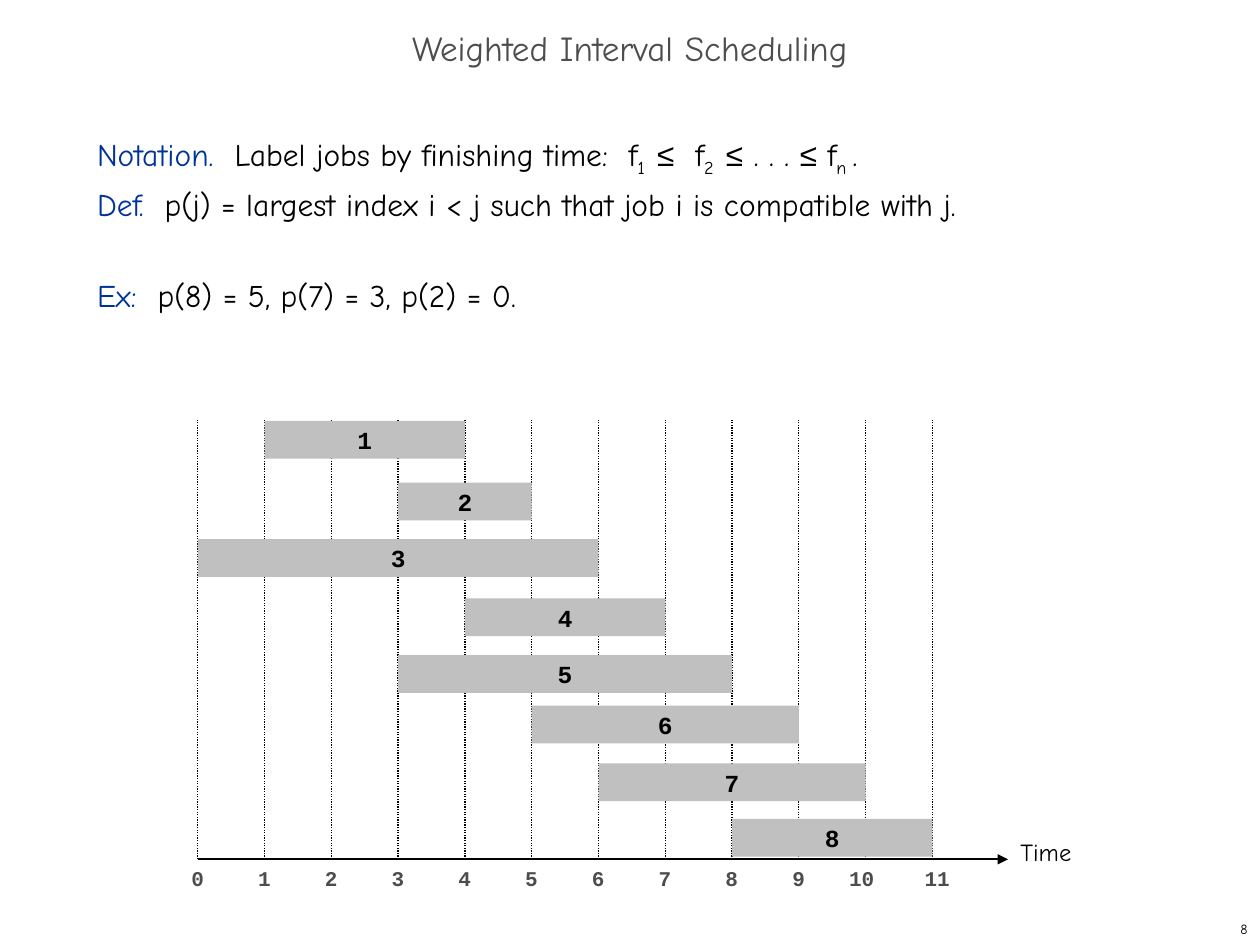
from dataclasses import dataclass

from pptx import Presentation
from pptx.dml.color import RGBColor
from pptx.enum.dml import MSO_LINE_DASH_STYLE as Dash
from pptx.enum.shapes import MSO_CONNECTOR as Connector, MSO_SHAPE as Preset
from pptx.enum.text import MSO_ANCHOR as Anchor, MSO_AUTO_SIZE as AutoSize, PP_ALIGN as Align
from pptx.oxml.ns import qn
from pptx.util import Inches, Pt
from lxml.etree import SubElement

BLACK = RGBColor(0x00, 0x00, 0x00)
GRAY = RGBColor(0x4D, 0x4D, 0x4D)
SILVER = RGBColor(0xC0, 0xC0, 0xC0)
NAVY = RGBColor(0x00, 0x33, 0x99)
HAND, MONO, SYMBOL = "Comic Neue", "Courier New", "Arial"

ORIGIN, COLUMN, COLUMNS = 1.57, 0.53, 11
GRID_TOP, AXIS_Y, AXIS_END = 3.33, 6.82, 8
BAR_HEIGHT = 0.3
LABEL_NUDGE = {10: -0.08, 11: -0.01}

TITLE = dict(name=HAND, size=Pt(20), bold=False)
BODY = dict(name=HAND, size=Pt(18), bold=False)
JOB = dict(name=MONO, size=Pt(14), bold=True)
TICK = dict(name=MONO, size=Pt(12), bold=True)
AXIS_NAME = dict(name=HAND, size=Pt(14))
NUMBER = dict(name=HAND, size=Pt(8))


@dataclass
class Span:
    text: str
    color: RGBColor = BLACK
    font: str = HAND
    subscript: bool = False


@dataclass
class Job:
    label: str
    start: int
    finish: int
    top: float


JOBS = [
    Job("1", 1, 4, 3.34),
    Job("2", 3, 5, 3.83),
    Job("3", 0, 6, 4.28),
    Job("4", 4, 7, 4.75),
    Job("5", 3, 8, 5.2),
    Job("6", 5, 9, 5.6),
    Job("7", 6, 10, 6.06),
    Job("8", 8, 11, 6.5),
]

LINES = [
    [
        Span("Notation.  ", NAVY), Span("Label jobs by finishing time:  f"),
        Span("1  ", subscript=True), Span("≤", font=SYMBOL), Span("  f"),
        Span("2  ", subscript=True), Span("≤", font=SYMBOL), Span(" . . . "),
        Span("≤", font=SYMBOL), Span(" f"), Span("n ", subscript=True), Span("."),
    ],
    [Span("Def.  ", NAVY),
     Span("p(j) = largest index i < j such that job i is compatible with j.")],
    [Span("Ex:  ", NAVY), Span("p(8) = 5, p(7) = 3, p(2) = 0.")],
]
SPACE_BEFORE = [Pt(0), Pt(0), Pt(26)]


def column_x(index: float) -> float:
    return ORIGIN + index * COLUMN


def place(shape, left: float, top: float, width: float, height: float) -> None:
    values = dict(left=left, top=top, width=width, height=height)
    for name, value in values.items():
        setattr(shape, name, Inches(value))


def style(font, formats: dict, color: RGBColor) -> None:
    for name, value in formats.items():
        setattr(font, name, value)
    font.color.rgb = color


def write(shape, text: str, formats: dict, color: RGBColor = BLACK,
          align=Align.LEFT, anchor=Anchor.TOP, wrap: bool = True):
    frame = shape.text_frame
    frame.auto_size = AutoSize.NONE
    frame.word_wrap = wrap
    frame.vertical_anchor = anchor
    para = frame.paragraphs[0]
    para.alignment = align
    span = para.add_run()
    span.text = text
    style(span.font, formats, color)
    return para


def add_label(page, text: str, left: float, top: float, width: float, height: float,
              formats: dict, **options) -> None:
    box = page.shapes.add_textbox(*map(Inches, (left, top, width, height)))
    write(box, text, formats, **options)


def add_line(page, start: tuple, end: tuple, width: float):
    line = page.shapes.add_connector(Connector.STRAIGHT, *map(Inches, start + end))
    line.line.color.rgb = BLACK
    line.line.width = Pt(width)
    SubElement(line._element.spPr, qn("a:effectLst"))
    return line


def add_axis(page) -> None:
    axis = add_line(page, (ORIGIN, AXIS_Y), (AXIS_END, AXIS_Y), 1.25)
    SubElement(axis.line._get_or_add_ln(), qn("a:tailEnd"), type="triangle")
    add_label(page, "Time", AXIS_END, 6.59, 0.83, 0.33, AXIS_NAME)
    for index in range(COLUMNS + 1):
        x = column_x(index)
        guide = add_line(page, (x, AXIS_Y), (x, GRID_TOP), 0.75)
        guide.line.dash_style = Dash.ROUND_DOT
        left = x - 0.15 + LABEL_NUDGE.get(index, 0)
        add_label(page, str(index), left, AXIS_Y, 0.46, 0.3, TICK, color=GRAY)


def add_job(page, job: Job) -> None:
    left = column_x(job.start)
    width = column_x(job.finish) - left
    bar = page.shapes.add_shape(Preset.RECTANGLE,
                                *map(Inches, (left, job.top, width, BAR_HEIGHT)))
    bar.shadow.inherit = False
    bar.fill.solid()
    bar.fill.fore_color.rgb = SILVER
    bar.line.fill.background()
    write(bar, job.label, JOB, align=Align.CENTER, anchor=Anchor.MIDDLE, wrap=False)


def fill_body(body) -> None:
    frame = body.text_frame
    frame.auto_size = AutoSize.NONE
    for index, (line, gap) in enumerate(zip(LINES, SPACE_BEFORE)):
        para = frame.add_paragraph() if index else frame.paragraphs[0]
        para.line_spacing = Pt(26)
        para.space_before = gap
        properties = para._p.get_or_add_pPr()
        properties.set("marL", "0")
        properties.set("indent", "0")
        SubElement(properties, qn("a:buNone"))
        for part in line:
            span = para.add_run()
            span.text = part.text
            style(span.font, BODY | dict(name=part.font), part.color)
            if part.subscript:
                span._r.get_or_add_rPr().set("baseline", "-25000")


def main() -> None:
    deck = Presentation()
    deck.slide_width, deck.slide_height = Inches(10), Inches(7.5)
    page = deck.slides.add_slide(deck.slide_layouts[1])
    title, body = page.placeholders
    place(title, 0, 0.17, 10, 0.5)
    heading = write(title, "Weighted Interval Scheduling", TITLE, color=GRAY,
                    align=Align.CENTER, anchor=Anchor.MIDDLE)
    heading.line_spacing = 0.7
    place(body, 0.67, 1, 8.58, 5.92)
    fill_body(body)
    add_axis(page)
    for job in JOBS:
        add_job(page, job)
    add_label(page, "8", 7.92, 7.25, 2.08, 0.25, NUMBER,
              align=Align.RIGHT, anchor=Anchor.MIDDLE)
    deck.save("out.pptx")


if __name__ == "__main__":
    main()
